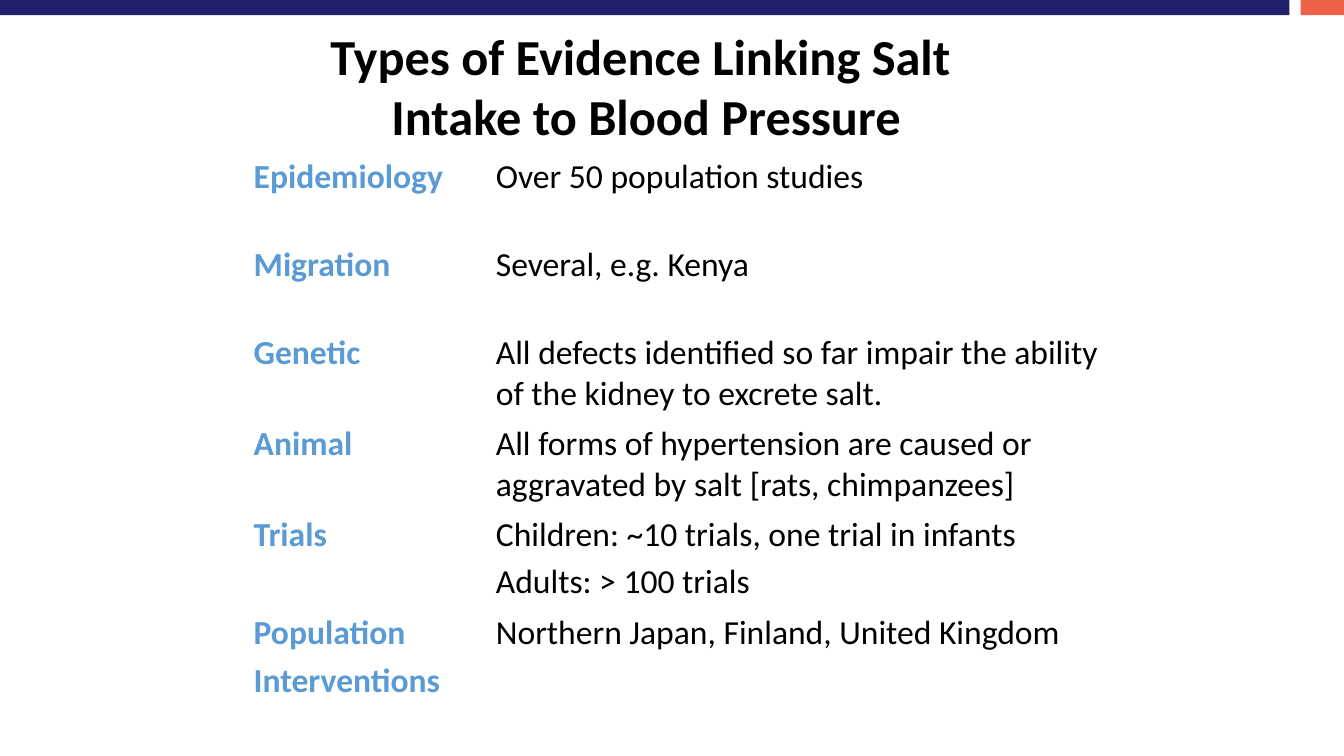
"""Build the slide on the types of evidence linking salt intake to blood pressure."""
import pptx
import pptx.util
import pptx.dml.color
import pptx.enum.shapes
import pptx.enum.text

Pt = pptx.util.Pt
RGBColor = pptx.dml.color.RGBColor
NAVY = RGBColor(0x20, 0x20, 0x6C)
CORAL = RGBColor(0xEE, 0x60, 0x48)
BLUE = RGBColor(0x5B, 0x9B, 0xD5)
BLACK = RGBColor(0, 0, 0)


def write_text(text_frame, text, size=24, bold=False, color=BLACK, alignment=None, space_before=0):
    """Write one paragraph per line of text in a single format."""
    text_frame.word_wrap = True
    for index, line in enumerate(text.split("\n")):
        paragraph = text_frame.add_paragraph() if index else text_frame.paragraphs[0]
        paragraph.alignment = alignment
        paragraph.space_before = Pt(space_before if index else 0)
        run = paragraph.add_run()
        run.text = line
        run.font.name = "Calibri"
        run.font.size = Pt(size)
        run.font.bold = bold
        run.font.color.rgb = color


presentation = pptx.Presentation()
presentation.slide_width = Pt(960)
presentation.slide_height = Pt(540)
slide = presentation.slides.add_slide(presentation.slide_layouts[6])

for left, width, color in [(929, 31, CORAL), (0, 921, NAVY)]:
    bar = slide.shapes.add_shape(
        pptx.enum.shapes.MSO_SHAPE.RECTANGLE, Pt(left), Pt(0), Pt(width), Pt(10.8))
    bar.shadow.inherit = False
    bar.fill.solid()
    bar.fill.fore_color.rgb = color
    bar.line.fill.background()

title = slide.shapes.add_textbox(Pt(138), Pt(13.7), Pt(647.3), Pt(94.3))
title.text_frame.vertical_anchor = pptx.enum.text.MSO_ANCHOR.MIDDLE
write_text(title.text_frame, "Types of Evidence Linking Salt \nIntake to Blood Pressure",
           size=36, bold=True, alignment=pptx.enum.text.PP_ALIGN.CENTER)

evidence = [
    ("Epidemiology", "Over 50 population studies", 63.4),
    ("Migration", "Several, e.g. Kenya", 62.6),
    ("Genetic", "All defects identified so far impair the ability of the kidney to excrete salt.", 62.6),
    ("Animal", "All forms of hypertension are caused or aggravated by salt [rats, chimpanzees]", 63.4),
    ("Trials", "Children: ~10 trials, one trial in infants\nAdults: > 100 trials", 70.4),
    ("Population\nInterventions", "Northern Japan, Finland, United Kingdom", 70.4),
]
table = slide.shapes.add_table(len(evidence), 2, Pt(174), Pt(108), Pt(618), Pt(392.8)).table
table.first_row = False
table.horz_banding = False
table.columns[0].width = Pt(173)
table.columns[1].width = Pt(445)
for row, (kind, finding, height) in zip(table.rows, evidence):
    row.height = Pt(height)
    for cell in row.cells:
        cell.fill.background()
    write_text(row.cells[0].text_frame, kind, bold=True, color=BLUE, space_before=4.8)
    write_text(row.cells[1].text_frame, finding, space_before=4.8)

presentation.save("out.pptx")
